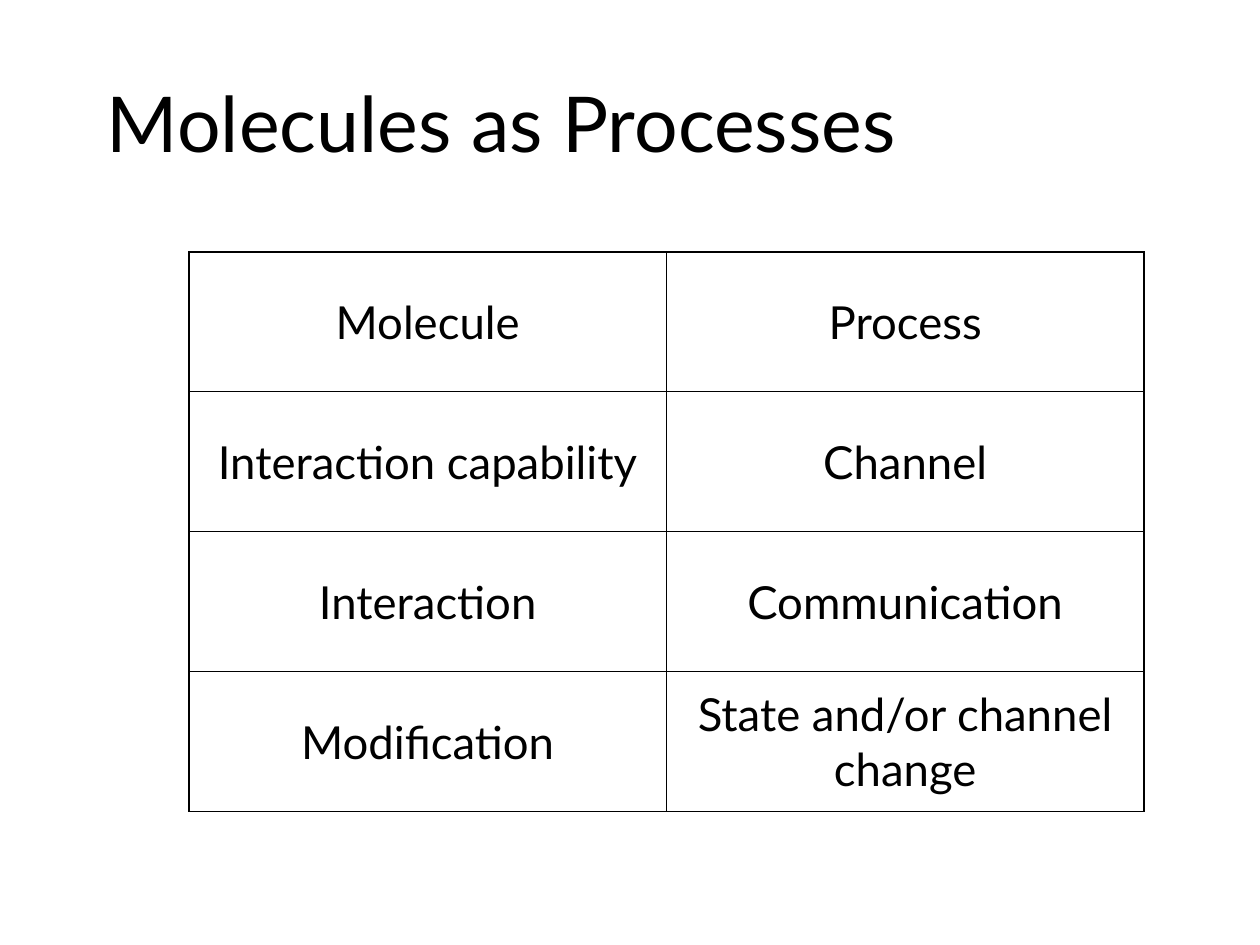
from lxml.etree import SubElement
from pptx import Presentation
from pptx.dml.color import RGBColor
from pptx.enum.text import MSO_ANCHOR, PP_ALIGN
from pptx.oxml.ns import qn
from pptx.util import Inches, Pt

BLACK = RGBColor(0, 0, 0)
FONT = "Lato"
OUTER_BORDER = Pt(1.08)
INNER_BORDER = Pt(0.45)
ROWS = [
    ("Molecule", "Process"),
    ("Interaction capability", "Channel"),
    ("Interaction", "Communication"),
    ("Modification", "State and/or channel change"),
]


def format_text(paragraph, size, alignment):
    paragraph.alignment = alignment
    for run in paragraph.runs:
        run.font.name = FONT
        run.font.size = Pt(size)
        run.font.color.rgb = BLACK


def add_title(slide, left, top, width, height):
    shape = slide.shapes.add_textbox(left, top, width, height)
    text_frame = shape.text_frame
    text_frame.word_wrap = True
    text_frame.vertical_anchor = MSO_ANCHOR.MIDDLE
    text_frame.text = "Molecules as Processes"
    format_text(text_frame.paragraphs[0], 44, PP_ALIGN.LEFT)


def set_borders(cell, outer_edges):
    properties = cell._tc.get_or_add_tcPr()
    for edge, is_outer in outer_edges.items():
        width = OUTER_BORDER if is_outer else INNER_BORDER
        line = SubElement(properties, qn(f"a:ln{edge}"), w=str(int(width)))
        fill = SubElement(line, qn("a:solidFill"))
        SubElement(fill, qn("a:srgbClr"), val=str(BLACK))


def add_comparison_table(slide, left, top, width, height):
    row_count, column_count = len(ROWS), len(ROWS[0])
    shape = slide.shapes.add_table(row_count, column_count, left, top, width, height)
    table = shape.table
    table.first_row = False
    table.horz_banding = False
    for row_index, row in enumerate(ROWS):
        for column_index, text in enumerate(row):
            cell = table.cell(row_index, column_index)
            cell.text = text
            cell.vertical_anchor = MSO_ANCHOR.MIDDLE
            format_text(cell.text_frame.paragraphs[0], 26, PP_ALIGN.CENTER)
            set_borders(cell, {
                "L": column_index == 0,
                "R": column_index == column_count - 1,
                "T": row_index == 0,
                "B": row_index == row_count - 1,
            })
            cell.fill.background()


def main():
    presentation = Presentation()
    presentation.slide_width = Inches(10)
    presentation.slide_height = Inches(7.5)
    slide = presentation.slides.add_slide(presentation.slide_layouts[6])
    add_title(slide, Inches(0.75), Inches(0.33), Inches(8.5), Inches(1.27))
    add_comparison_table(slide, Inches(1.5), Inches(2), Inches(7.58), Inches(4.44))
    presentation.save("out.pptx")


if __name__ == "__main__":
    main()
